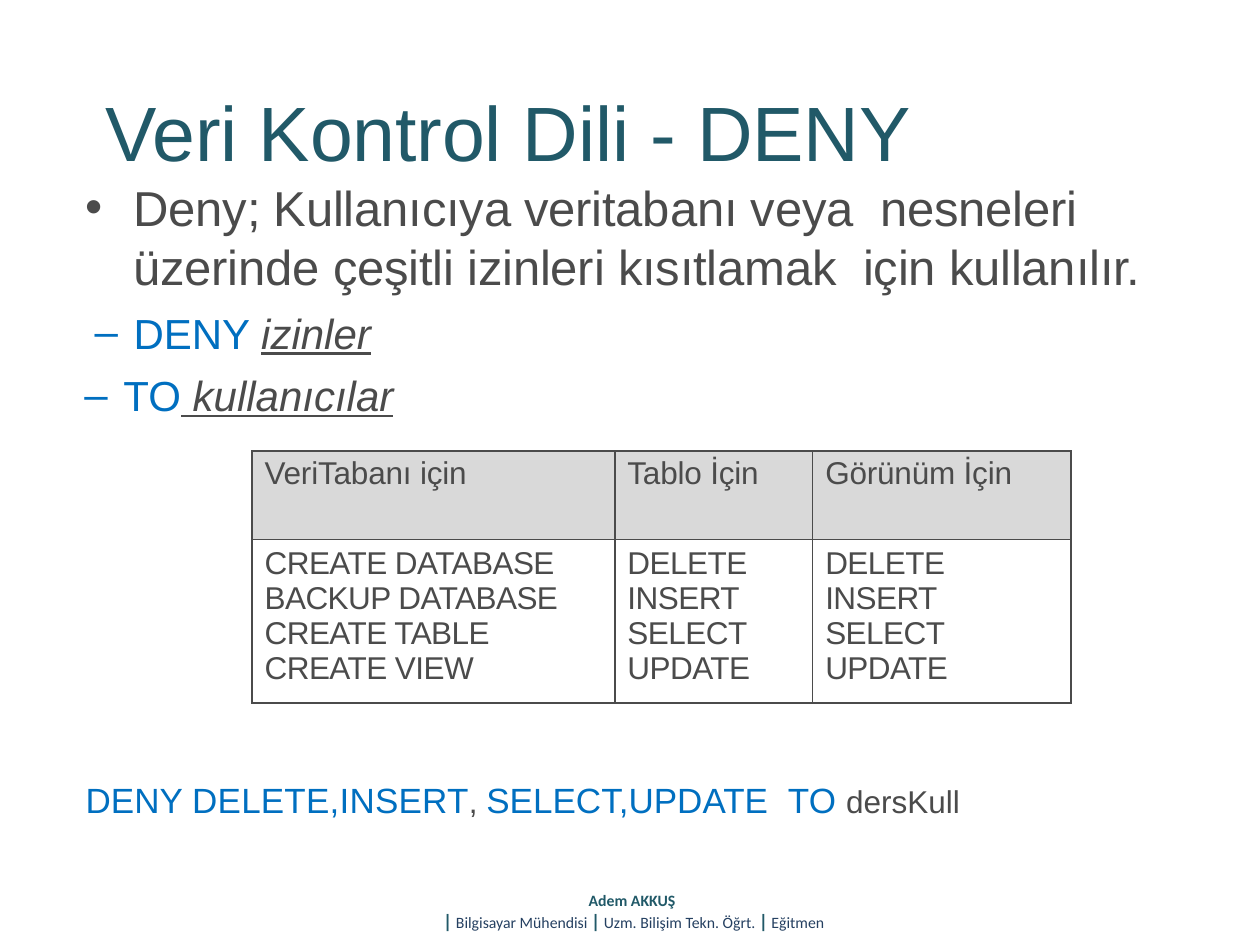
from dataclasses import dataclass

from lxml import etree
from pptx import Presentation
from pptx.dml.color import RGBColor
from pptx.enum.text import PP_ALIGN
from pptx.oxml.ns import qn
from pptx.util import Inches, Pt

CENTER = PP_ALIGN.CENTER
LEFT = PP_ALIGN.LEFT


@dataclass(frozen=True)
class Theme:
    font: str = "Arial"
    footer_font: str = "Calibri"
    teal: str = "215968"
    navy: str = "254061"
    grey: str = "4B4B4B"
    blue: str = "006FC0"
    header_fill: str = "D9D9D9"
    body_fill: str = "FFFFFF"
    title_size: int = 44
    body_size: int = 28
    syntax_size: int = 24
    example_size: int = 20
    table_size: int = 18
    footer_size: int = 9
    divider_size: int = 11


THEME = Theme()


@dataclass(frozen=True)
class Style:
    size: int
    color: str
    font: str = THEME.font
    bold: bool = False
    italic: bool = False
    underline: bool = False
    spacing: float = 0


def add_spans(para, spans):
    for text, style in spans:
        span = para.add_run()
        span.text = text
        font = span.font
        font.name = style.font
        font.size = Pt(style.size)
        font.bold = style.bold
        font.italic = style.italic
        font.underline = style.underline
        font.color.rgb = RGBColor.from_string(style.color)
        if style.spacing:
            font._element.set("spc", str(round(style.spacing * 100)))


def add_bullet(para, symbol, indent, hanging):
    properties = para._p.get_or_add_pPr()
    properties.set("marL", str(Inches(indent)))
    properties.set("indent", str(-Inches(hanging)))
    font = etree.SubElement(properties, qn("a:buFont"))
    font.set("typeface", THEME.font)
    bullet = etree.SubElement(properties, qn("a:buChar"))
    bullet.set("char", symbol)


def add_text(page, left, top, width, height, lines, inset=0.0, align=LEFT):
    box = page.shapes.add_textbox(Inches(left), Inches(top), Inches(width), Inches(height))
    frame = box.text_frame
    frame.word_wrap = True
    frame.margin_left = frame.margin_right = Inches(inset * 2)
    frame.margin_top = frame.margin_bottom = Inches(inset)
    for index, spans in enumerate(lines):
        para = frame.add_paragraph() if index else frame.paragraphs[0]
        para.alignment = align
        add_spans(para, spans)
    return frame


def add_borders(cell):
    properties = cell._tc.get_or_add_tcPr()
    for position, side in enumerate(("a:lnL", "a:lnR", "a:lnT", "a:lnB")):
        line = etree.Element(qn(side), w=str(Pt(1)))
        fill = etree.SubElement(line, qn("a:solidFill"))
        etree.SubElement(fill, qn("a:srgbClr"), val=THEME.grey)
        properties.insert(position, line)


def fill_cell(cell, lines, fill, top, style):
    cell.fill.solid()
    cell.fill.fore_color.rgb = RGBColor.from_string(fill)
    cell.margin_left = Inches(0.1)
    cell.margin_top = Inches(top)
    cell.margin_right = cell.margin_bottom = 0
    frame = cell.text_frame
    for index, line in enumerate(lines):
        para = frame.add_paragraph() if index else frame.paragraphs[0]
        add_spans(para, [(line, style)])
    add_borders(cell)


def add_permissions(page, columns):
    widths, heights = (2.88, 1.57, 2.05), (0.7, 1.3)
    table = page.shapes.add_table(
        len(heights), len(widths), Inches(2), Inches(3.58),
        Inches(sum(widths)), Inches(sum(heights))).table
    for row, height in zip(table.rows, heights):
        row.height = Inches(height)
    header = Style(THEME.table_size, THEME.grey, spacing=-0.1)
    body = Style(THEME.table_size, THEME.grey, spacing=-0.3)
    for index, (heading, permissions) in enumerate(columns):
        table.columns[index].width = Inches(widths[index])
        fill_cell(table.cell(0, index), [heading], THEME.header_fill, 0.04, header)
        fill_cell(table.cell(1, index), permissions, THEME.body_fill, 0.05, body)


def add_description(page):
    plain = Style(THEME.body_size, THEME.grey, spacing=-0.1)
    keyword = Style(THEME.syntax_size, THEME.blue)
    gap = Style(THEME.syntax_size, THEME.grey, underline=True, spacing=-0.4)
    argument = Style(THEME.syntax_size, THEME.grey, italic=True, underline=True)
    sentence = ("Deny; Kullanıcıya veritabanı veya  nesneleri üzerinde "
                "çeşitli izinleri kısıtlamak  için kullanılır.")
    frame = add_text(page, 0.67, 1.41, 8.75, 2.05, [
        [(sentence, plain)],
        [("DENY ", keyword), ("izinler", argument)],
        [("TO", keyword), (" ", gap), ("kullanıcılar", argument)],
    ])
    layout = (("•", 0.39, 0.38, 0.9), ("–", 0.39, 0.31, 6.7), ("–", 0.31, 0.31, 6.8))
    for para, (symbol, indent, hanging, before) in zip(frame.paragraphs, layout):
        para.space_before = Pt(before)
        add_bullet(para, symbol, indent, hanging)


def add_example(page):
    keyword = Style(THEME.example_size, THEME.blue)
    wide = Style(THEME.example_size, THEME.blue, spacing=0.1)
    plain = Style(THEME.table_size, THEME.grey)
    add_text(page, 0.68, 6.18, 8.74, 0.35, [[
        ("DENY ", keyword), ("DELETE,INSERT", wide), (", ", plain),
        ("SELECT,UPDATE  ", keyword), ("TO ", wide), ("dersKull", plain),
    ]])


def add_footer(page):
    name = Style(THEME.footer_size, THEME.teal, THEME.footer_font, bold=True)
    divider = Style(THEME.divider_size, THEME.teal, THEME.footer_font, bold=True)
    role = Style(THEME.footer_size, THEME.navy, THEME.footer_font)
    roles = []
    for text in (" Bilgisayar Mühendisi ", " Uzm. Bilişim Tekn. Öğrt. ", " Eğitmen"):
        roles += [("|", divider), (text, role)]
    add_text(page, 2.93, 7.02, 4.2, 0.48, [[("Adem AKKUŞ ", name)], roles],
             inset=0.05, align=CENTER)


def main():
    deck = Presentation()
    deck.slide_width, deck.slide_height = Inches(10), Inches(7.5)
    page = deck.slides.add_slide(deck.slide_layouts[6])
    title = Style(THEME.title_size, THEME.teal, spacing=-0.1)
    add_text(page, 0.84, 0.67, 6.48, 0.76, [[("Veri Kontrol Dili - DENY", title)]])
    add_description(page)
    object_permissions = ["DELETE", "INSERT", "SELECT", "UPDATE"]
    add_permissions(page, [
        ("VeriTabanı için",
         ["CREATE DATABASE", "BACKUP DATABASE", "CREATE TABLE", "CREATE VIEW"]),
        ("Tablo İçin", object_permissions),
        ("Görünüm İçin", object_permissions),
    ])
    add_example(page)
    add_footer(page)
    deck.save("out.pptx")


if __name__ == "__main__":
    main()
